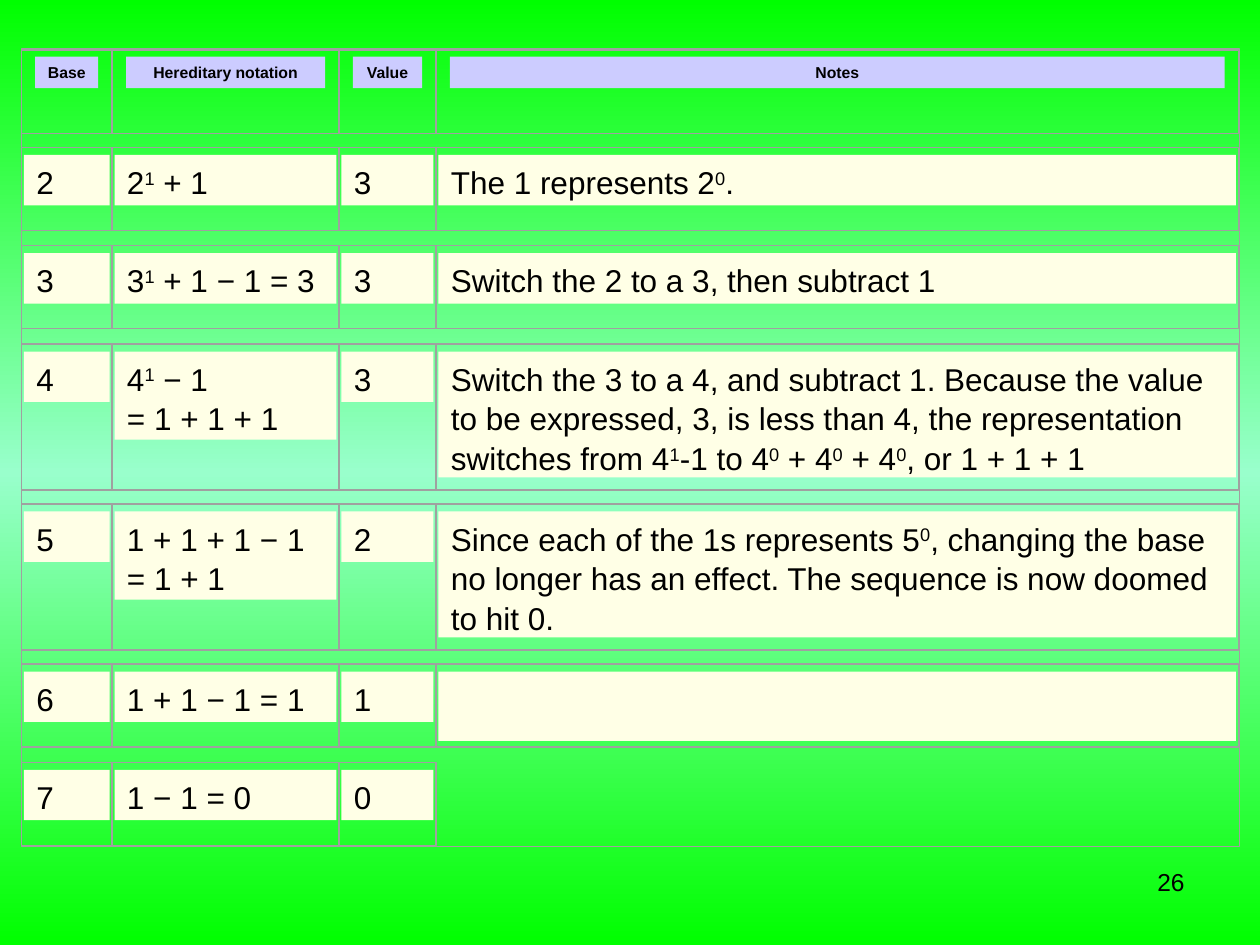
"""Build a slide tabulating a Goodstein sequence with notes on each step."""
from copy import deepcopy
from dataclasses import dataclass

from pptx import Presentation
from pptx.dml.color import RGBColor
from pptx.enum.shapes import MSO_SHAPE
from pptx.enum.text import MSO_ANCHOR, MSO_AUTO_SIZE, PP_ALIGN
from pptx.oxml.ns import qn
from pptx.shapes.autoshape import Shape
from pptx.slide import Slide
from pptx.text.text import _Paragraph
from pptx.util import Inches, Pt

GREEN = RGBColor(0x00, 0xFF, 0x00)
MINT = RGBColor(0x99, 0xFF, 0xCC)
LAVENDER = RGBColor(0xCC, 0xCC, 0xFF)
CREAM = RGBColor(0xFF, 0xFF, 0xE6)
GRAY = RGBColor(0xA0, 0xA0, 0xA0)
BLACK = RGBColor(0x00, 0x00, 0x00)


@dataclass(frozen=True)
class Column:
    heading: str
    left: float
    width: float


@dataclass(frozen=True)
class Entry:
    text: str
    lines: int = 1

    @property
    def height(self) -> float:
        return 0.1 + 0.3 * self.lines if self.text else 0.55


@dataclass(frozen=True)
class Step:
    top: float
    entries: tuple[Entry, ...]
    height: float = 0.66


COLUMNS = (
    Column("Base", 0.17, 0.72),
    Column("Hereditary notation", 0.89, 1.8),
    Column("Value", 2.69, 0.77),
    Column("Notes", 3.46, 6.37),
)
HEADING_TOP = 0.4
HEADING_HEIGHT = 0.66
STEPS = (
    Step(1.17, (Entry("2"), Entry("2^1 + 1"), Entry("3"), Entry("The 1 represents 2^0."))),
    Step(1.95, (Entry("3"), Entry("3^1 + 1 − 1 = 3"), Entry("3"),
                Entry("Switch the 2 to a 3, then subtract 1"))),
    Step(2.73, (Entry("4"), Entry("4^1 − 1 \n= 1 + 1 + 1", 2), Entry("3"),
                Entry("Switch the 3 to a 4, and subtract 1. Because the value to be "
                      "expressed, 3, is less than 4, the representation switches from "
                      "4^1-1 to 4^0 + 4^0 + 4^0, or 1 + 1 + 1", 3)), 1.16),
    Step(4, (Entry("5"), Entry("1 + 1 + 1 − 1 = 1 + 1", 2), Entry("2"),
             Entry("Since each of the 1s represents 5^0, changing the base no longer "
                   "has an effect. The sequence is now doomed to hit 0.", 3)), 1.16),
    Step(5.27, (Entry("6"), Entry("1 + 1 − 1 = 1"), Entry("1"), Entry(""))),
    Step(6.05, (Entry("7"), Entry("1 − 1 = 0"), Entry("0"))),
)


def paint_background(slide: Slide) -> None:
    fill = slide.background.fill
    fill.gradient()
    fill.gradient_angle = 270
    stop_list = slide.element.find(".//" + qn("a:gsLst"))
    stop_list.append(deepcopy(stop_list[-1]))
    for stop, position, color in zip(fill.gradient_stops, (0, 0.5, 1), (GREEN, MINT, GREEN)):
        stop.position = position
        stop.color.rgb = color


def add_rectangle(slide: Slide, left: float, top: float, width: float, height: float) -> Shape:
    rectangle = slide.shapes.add_shape(
        MSO_SHAPE.RECTANGLE, Inches(left), Inches(top), Inches(width), Inches(height))
    rectangle.shadow.inherit = False
    return rectangle


def add_border(slide: Slide, left: float, top: float, width: float, height: float,
               weight: float = 0) -> None:
    border = add_rectangle(slide, left, top, width, height)
    border.fill.background()
    border.line.color.rgb = GRAY
    border.line.width = Pt(weight)


def add_band(slide: Slide, left: float, top: float, width: float, height: float,
             color: RGBColor) -> Shape:
    band = add_rectangle(slide, left, top, width, height)
    band.fill.solid()
    band.fill.fore_color.rgb = color
    band.line.fill.background()
    return band


def write_powers(paragraph: _Paragraph, text: str) -> None:
    for number, line in enumerate(text.split("\n")):
        if number:
            paragraph.add_line_break()
        start, *powers = line.split("^")
        paragraph.add_run().text = start
        for power in powers:
            exponent = paragraph.add_run()
            exponent.text = power[0]
            exponent.font._element.set("baseline", "30000")
            if power[1:]:
                paragraph.add_run().text = power[1:]


def write_text(shape: Shape, text: str, size: float, align: PP_ALIGN,
               bold: bool = False) -> _Paragraph:
    frame = shape.text_frame
    frame.word_wrap = True
    frame.vertical_anchor = MSO_ANCHOR.TOP
    paragraph = frame.paragraphs[0]
    paragraph.alignment = align
    paragraph.font.name = "Arial"
    paragraph.font.size = Pt(size)
    paragraph.font.bold = bold
    paragraph.font.color.rgb = BLACK
    write_powers(paragraph, text)
    return paragraph


def add_heading(slide: Slide, column: Column) -> None:
    band = add_band(slide, column.left + 0.11, HEADING_TOP + 0.05, column.width - 0.22, 0.25,
                    LAVENDER)
    write_text(band, column.heading, 9, PP_ALIGN.CENTER, bold=True)
    band.text_frame.auto_size = MSO_AUTO_SIZE.SHAPE_TO_FIT_TEXT
    add_border(slide, column.left, HEADING_TOP, column.width, HEADING_HEIGHT)


def add_entry(slide: Slide, column: Column, step: Step, entry: Entry) -> None:
    band = add_band(slide, column.left + 0.02, step.top + 0.06, column.width - 0.04,
                    entry.height, CREAM)
    if entry.text:
        paragraph = write_text(band, entry.text, 18, PP_ALIGN.LEFT)
        paragraph.line_spacing = 1.05
        band.text_frame.auto_size = MSO_AUTO_SIZE.SHAPE_TO_FIT_TEXT
    add_border(slide, column.left, step.top, column.width, step.height)


def main() -> None:
    presentation = Presentation()
    presentation.slide_width = Inches(10)
    presentation.slide_height = Inches(7.5)
    slide = presentation.slides.add_slide(presentation.slide_layouts[6])
    paint_background(slide)
    for column in COLUMNS:
        add_heading(slide, column)
    for step in STEPS:
        for column, entry in zip(COLUMNS, step.entries):
            add_entry(slide, column, step, entry)
    add_border(slide, 0.17, 0.39, 9.67, 6.33, 0.75)
    page_number = slide.shapes.add_textbox(
        Inches(7.17), Inches(6.83), Inches(2.33), Inches(0.52))
    write_text(page_number, "26", 14, PP_ALIGN.RIGHT)
    presentation.save("out.pptx")


if __name__ == "__main__":
    main()
